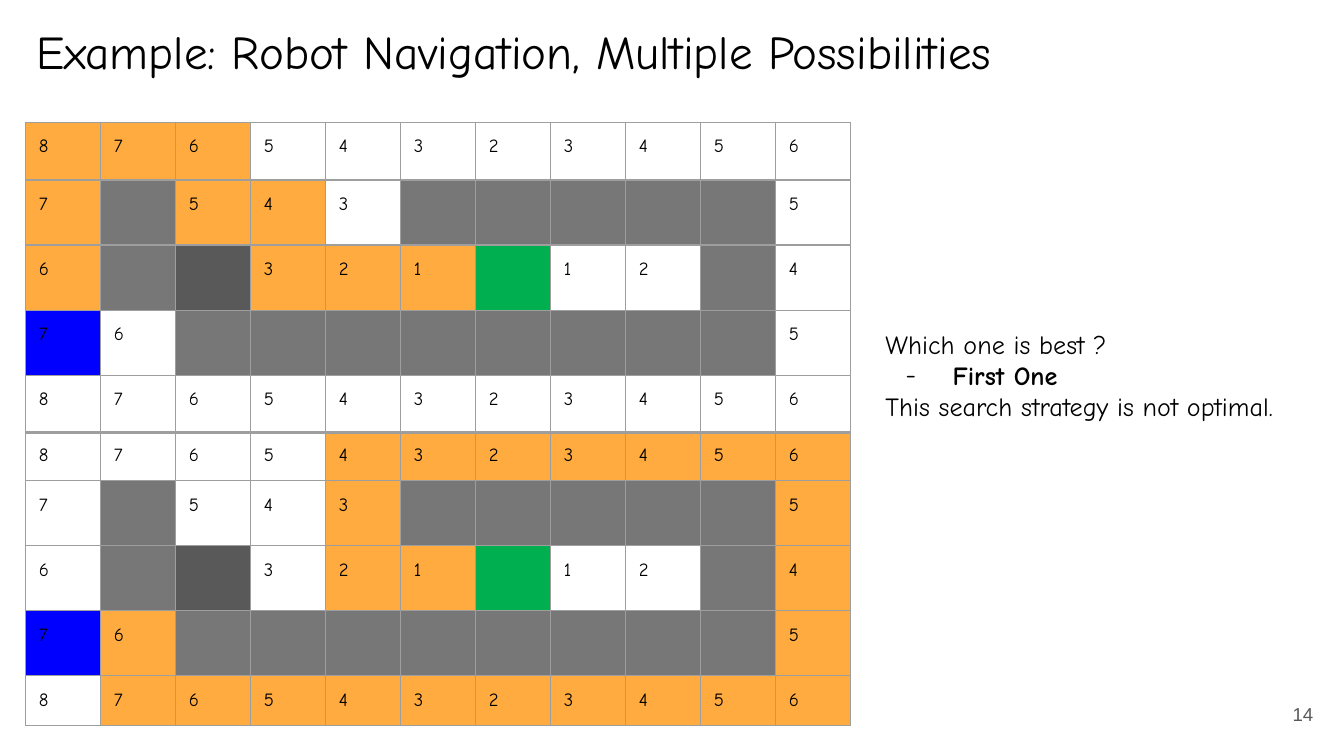
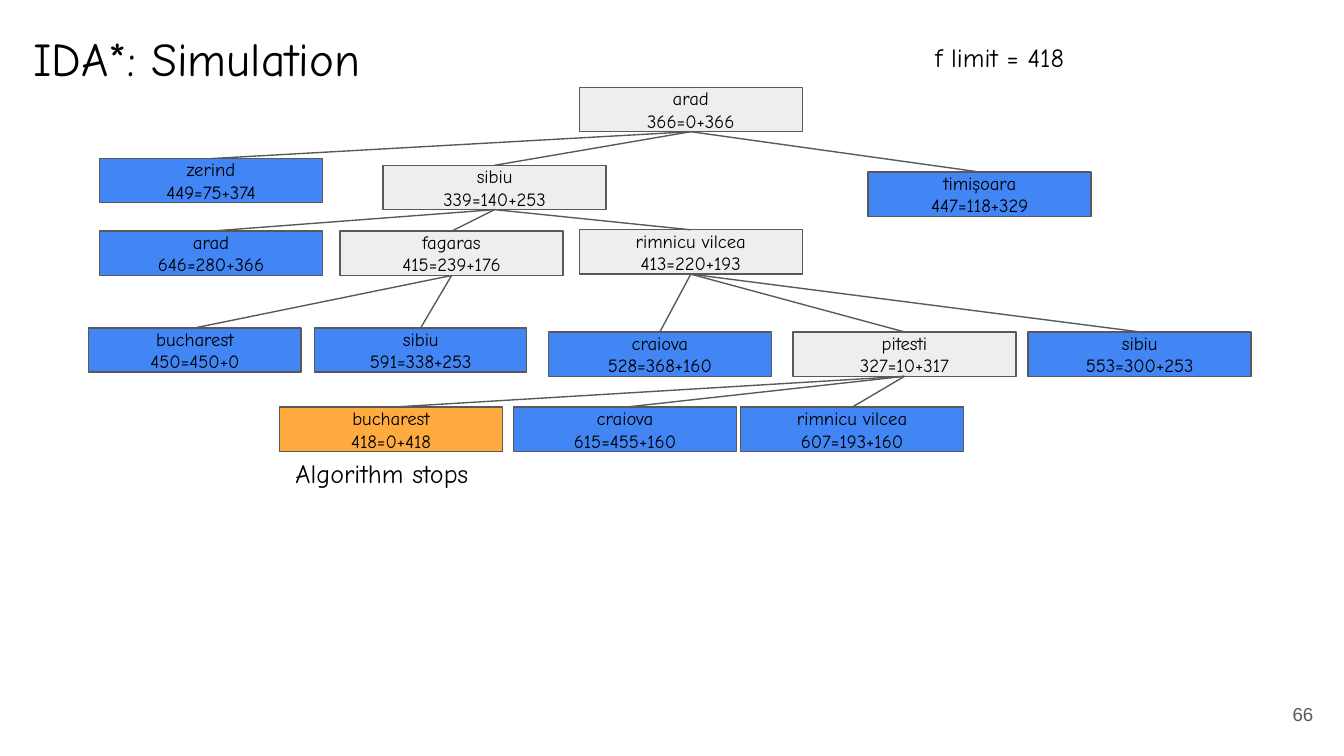
from typing import NamedTuple

import lxml.etree
import pptx
import pptx.dml.color
import pptx.enum.shapes
import pptx.enum.text
import pptx.oxml.ns
import pptx.oxml.xmlchemy
import pptx.presentation
import pptx.shapes.autoshape
import pptx.slide
import pptx.table
import pptx.text.text
import pptx.util
from pptx.dml.color import RGBColor
from pptx.util import Inches

BLACK = RGBColor(0x00, 0x00, 0x00)
DARK_GRAY = RGBColor(0x59, 0x59, 0x59)
WALL_GRAY = RGBColor(0x77, 0x77, 0x77)
BORDER_GRAY = RGBColor(0x9E, 0x9E, 0x9E)
LIGHT_GRAY = RGBColor(0xEE, 0xEE, 0xEE)
ORANGE = RGBColor(0xFF, 0xAB, 0x40)
GOAL_GREEN = RGBColor(0x00, 0xB0, 0x50)
START_BLUE = RGBColor(0x00, 0x00, 0xFF)
NODE_BLUE = RGBColor(0x42, 0x85, 0xF4)

BODY_FONT = "Comic Neue"
NUMBER_FONT = "Arial"
SLIDE_WIDTH = Inches(10)
SLIDE_HEIGHT = SLIDE_WIDTH * 9 // 16
MARGIN = Inches(0.1)
LINE_WIDTH = pptx.util.Pt(0.75)
NODE_HEIGHT = 0.33
EMPTY_CELL_SIZE = 17
ALIGN = pptx.enum.text.PP_ALIGN
ANCHOR = pptx.enum.text.MSO_ANCHOR

MAZE = ("87654323456", "7#543#####5", "6#@321G12#4", "S6########5", "87654323456")
CELL_FILLS = {"#": WALL_GRAY, "@": DARK_GRAY, "G": GOAL_GREEN, "S": START_BLUE}
START_DISTANCE = "7"


class Route(NamedTuple):
    top: float
    row_height: float
    steps: tuple[str, ...]


class Node(NamedTuple):
    key: str
    parent: str
    text: str
    left: float
    top: float
    fill: RGBColor = NODE_BLUE
    width: float = 1.66


class Label(NamedTuple):
    text: str
    left: float
    top: float
    width: float
    height: float


ROUTES = (
    Route(3.21, 0.35, ("....*******", "....*.....*", "....**....*", ".*........*", ".**********")),
    Route(0.91, 0.43, ("***........", "*.**.......", "*..***.....", "...........", "...........")),
)

NODES = (
    Node("arad", "", "arad\n366=0+366", 4.31, 0.65, LIGHT_GRAY),
    Node("zerind", "arad", "zerind\n449=75+374", 0.74, 1.18),
    Node("sibiu", "arad", "sibiu\n339=140+253", 2.85, 1.23, LIGHT_GRAY),
    Node("timisoara", "arad", "timișoara\n447=118+329", 6.46, 1.28),
    Node("sibiu arad", "sibiu", "arad\n646=280+366", 0.74, 1.72),
    Node("fagaras", "sibiu", "fagaras\n415=239+176", 2.53, 1.72, LIGHT_GRAY),
    Node("rimnicu", "sibiu", "rimnicu vilcea\n413=220+193", 4.31, 1.71, LIGHT_GRAY),
    Node("fagaras bucharest", "fagaras", "bucharest\n450=450+0", 0.66, 2.44, width=1.58),
    Node("fagaras sibiu", "fagaras", "sibiu\n591=338+253", 2.34, 2.44, width=1.58),
    Node("rimnicu craiova", "rimnicu", "craiova\n528=368+160", 4.08, 2.47),
    Node("pitesti", "rimnicu", "pitesti\n327=10+317", 5.9, 2.47, LIGHT_GRAY),
    Node("rimnicu sibiu", "rimnicu", "sibiu\n553=300+253", 7.65, 2.47),
    Node("goal", "pitesti", "bucharest\n418=0+418", 2.08, 3.03, ORANGE),
    Node("pitesti craiova", "pitesti", "craiova\n615=455+160", 3.82, 3.03),
    Node("pitesti rimnicu", "pitesti", "rimnicu vilcea\n607=193+160", 5.51, 3.03),
)

TREE_LABELS = (
    Label("f limit = 418", 6.86, 0.21, 1.76, 0.44),
    Label("Algorithm stops", 2.1, 3.3, 2.82, 0.44),
)


def write_text(
    frame: pptx.text.text.TextFrame,
    text: str,
    *,
    size: float = 10,
    font: str = BODY_FONT,
    color: RGBColor = BLACK,
    align: ALIGN = ALIGN.LEFT,
) -> None:
    for index, line in enumerate(text.split("\n")):
        paragraph = frame.add_paragraph() if index else frame.paragraphs[0]
        paragraph.alignment = align
        run = paragraph.add_run()
        run.text = line
        run.font.size = pptx.util.Pt(size)
        run.font.name = font
        run.font.color.rgb = color


def set_frame(frame: pptx.text.text.TextFrame, anchor: ANCHOR) -> None:
    frame.word_wrap = True
    frame.vertical_anchor = anchor
    frame.margin_left = frame.margin_right = MARGIN
    frame.margin_top = frame.margin_bottom = MARGIN


def add_label(
    slide: pptx.slide.Slide, label: Label, *, anchor: ANCHOR = ANCHOR.TOP, **text_format
) -> pptx.text.text.TextFrame:
    frame = slide.shapes.add_textbox(*(Inches(length) for length in label[1:])).text_frame
    set_frame(frame, anchor)
    write_text(frame, label.text, **text_format)
    return frame


def add_slide(
    presentation: pptx.presentation.Presentation, title: Label, number: int
) -> pptx.slide.Slide:
    slide = presentation.slides.add_slide(presentation.slide_layouts[6])
    add_label(slide, title, size=25.2)
    add_label(
        slide,
        Label(str(number), 9.27, 5.1, 0.6, 0.43),
        anchor=ANCHOR.MIDDLE,
        font=NUMBER_FONT,
        color=DARK_GRAY,
        align=ALIGN.RIGHT,
    )
    return slide


def add_element(
    parent: pptx.oxml.xmlchemy.BaseOxmlElement, tag: str, **attributes: str
) -> lxml.etree._Element:
    return lxml.etree.SubElement(parent, pptx.oxml.ns.qn(tag), attributes)


def add_dash(paragraph: pptx.text.text._Paragraph) -> None:
    properties = paragraph._p.get_or_add_pPr()
    properties.set("marL", str(Inches(0.5)))
    properties.set("indent", str(Inches(-0.35)))
    add_element(add_element(properties, "a:buClr"), "a:srgbClr", val=str(BLACK))
    add_element(properties, "a:buFont", typeface=BODY_FONT)
    add_element(properties, "a:buChar", char="-")


def size_empty_cell(cell: pptx.table._Cell) -> None:
    paragraph = cell.text_frame.paragraphs[0]._p
    properties = add_element(paragraph, "a:endParaRPr", sz=str(EMPTY_CELL_SIZE * 100))
    add_element(properties, "a:latin", typeface=BODY_FONT)


def add_borders(cell: pptx.table._Cell) -> None:
    properties = cell._tc.get_or_add_tcPr()
    for side in "LRTB":
        border = add_element(properties, f"a:ln{side}", w=str(LINE_WIDTH))
        add_element(add_element(border, "a:solidFill"), "a:srgbClr", val=str(BORDER_GRAY))


def add_maze(slide: pptx.slide.Slide, route: Route) -> None:
    rows, columns = len(MAZE), len(MAZE[0])
    table = slide.shapes.add_table(
        rows, columns, Inches(0.19), Inches(route.top), Inches(6.14), Inches(route.row_height * rows)
    ).table
    table.first_row = table.horz_banding = False
    for row in range(rows):
        for column in range(columns):
            cell, symbol = table.cell(row, column), MAZE[row][column]
            cell.margin_left = cell.margin_right = MARGIN
            cell.margin_top = cell.margin_bottom = MARGIN
            add_borders(cell)
            fill = ORANGE if route.steps[row][column] == "*" else CELL_FILLS.get(symbol)
            if fill is None:
                cell.fill.background()
            else:
                cell.fill.solid()
                cell.fill.fore_color.rgb = fill
            distance = START_DISTANCE if symbol == "S" else symbol
            if distance.isdigit():
                write_text(cell.text_frame, distance)
            else:
                size_empty_cell(cell)


def add_node(slide: pptx.slide.Slide, node: Node) -> pptx.shapes.autoshape.Shape:
    shape = slide.shapes.add_shape(
        pptx.enum.shapes.MSO_SHAPE.RECTANGLE,
        Inches(node.left),
        Inches(node.top),
        Inches(node.width),
        Inches(NODE_HEIGHT),
    )
    shape.shadow.inherit = False
    shape.fill.solid()
    shape.fill.fore_color.rgb = node.fill
    shape.line.color.rgb = DARK_GRAY
    shape.line.width = LINE_WIDTH
    set_frame(shape.text_frame, ANCHOR.MIDDLE)
    write_text(shape.text_frame, node.text, align=ALIGN.CENTER)
    return shape


def connect_nodes(
    slide: pptx.slide.Slide,
    parent: pptx.shapes.autoshape.Shape,
    child: pptx.shapes.autoshape.Shape,
) -> None:
    connector = slide.shapes.add_connector(pptx.enum.shapes.MSO_CONNECTOR.STRAIGHT, 0, 0, 0, 0)
    connector.begin_connect(parent, 2)
    connector.end_connect(child, 0)
    connector.line.color.rgb = DARK_GRAY
    connector.line.width = LINE_WIDTH
    add_element(connector.element.spPr, "a:effectLst")


def build_navigation_slide(presentation: pptx.presentation.Presentation) -> None:
    title = Label("Example: Robot Navigation, Multiple Possibilities", 0.17, 0.07, 9.32, 0.63)
    slide = add_slide(presentation, title, 14)
    for route in ROUTES:
        add_maze(slide, route)
    question = "Which one is best ?\nFirst One\nThis search strategy is not optimal."
    frame = add_label(slide, Label(question, 6.49, 2.34, 3.36, 1.14), size=14)
    answer = frame.paragraphs[1]
    add_dash(answer)
    answer.runs[0].font.bold = True


def build_simulation_slide(presentation: pptx.presentation.Presentation) -> None:
    slide = add_slide(presentation, Label("IDA*: Simulation", 0.15, 0.12, 7.5, 0.48), 66)
    shapes = {}
    for node in NODES:
        shapes[node.key] = add_node(slide, node)
        if node.parent:
            connect_nodes(slide, shapes[node.parent], shapes[node.key])
    for label in TREE_LABELS:
        add_label(slide, label, size=14)


def main() -> None:
    presentation = pptx.Presentation()
    presentation.slide_width = SLIDE_WIDTH
    presentation.slide_height = SLIDE_HEIGHT
    build_navigation_slide(presentation)
    build_simulation_slide(presentation)
    presentation.save("out.pptx")


if __name__ == "__main__":
    main()
